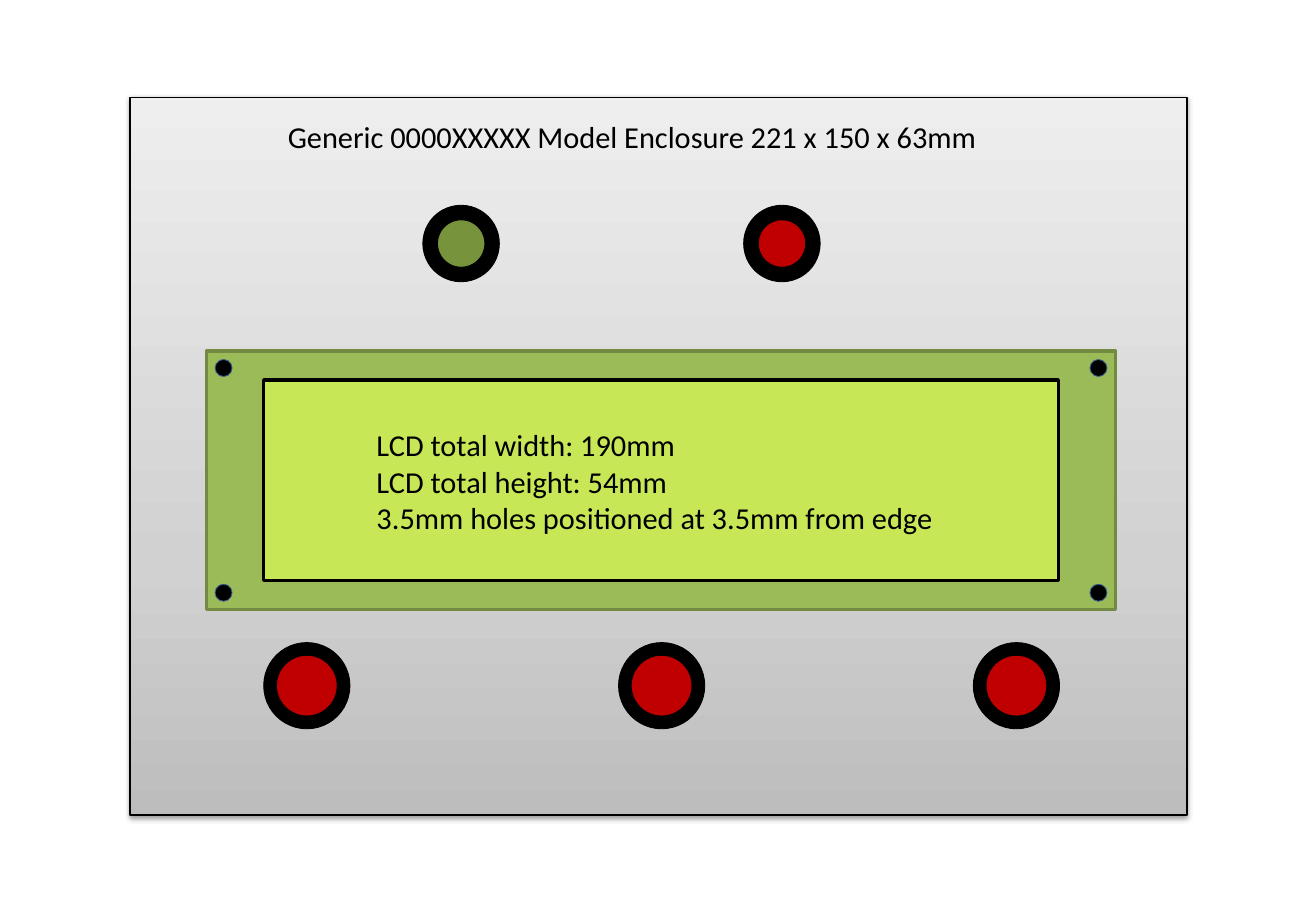
from copy import deepcopy
from dataclasses import dataclass
from itertools import product

from lxml.etree import SubElement
from pptx import Presentation
from pptx.dml.color import RGBColor as Rgb
from pptx.enum.shapes import MSO_SHAPE as Preset
from pptx.enum.text import MSO_AUTO_SIZE as AutoSize
from pptx.oxml.ns import qn
from pptx.util import Inches, Pt


@dataclass(frozen=True)
class Theme:
    """Colours and type of the slide."""
    ink: str = "000000"
    board: str = "9BBB59"
    board_edge: str = "738A42"
    hole_edge: str = "3A5F8C"
    screen: str = "C8E757"
    red: str = "C00000"
    green: str = "77933C"
    case: tuple = ((0, "BDBDBD"), (0.35, "D1D1D1"), (1, "EEEEEE"))
    font: str = "Calibri"
    size: int = 18


THEME = Theme()


def add_preset(shapes, preset, box, fill, edge, weight):
    """Add an outlined shape in box (left, top, width, height)."""
    shape = shapes.add_shape(preset, *map(Inches, box))
    shape.shadow.inherit = False
    if fill:
        shape.fill.solid()
        shape.fill.fore_color.rgb = Rgb.from_string(fill)
    shape.line.color.rgb = Rgb.from_string(edge)
    shape.line.width = Pt(weight)
    return shape


def add_disc(shapes, centre, diameter, fill, edge=THEME.ink):
    """Add a circle around a centre point."""
    x, y = centre
    box = (x - diameter / 2, y - diameter / 2, diameter, diameter)
    add_preset(shapes, Preset.OVAL, box, fill, edge, 0.5)


def add_label(page, box, lines, wrap):
    """Add left-aligned text, one paragraph for each line."""
    label = page.shapes.add_textbox(*map(Inches, box))
    frame = label.text_frame
    frame.text = "\n".join(lines)
    frame.word_wrap = wrap
    frame.auto_size = AutoSize.SHAPE_TO_FIT_TEXT
    formats = {"name": THEME.font, "size": Pt(THEME.size)}
    for para in frame.paragraphs:
        for span in para.runs:
            for key, value in formats.items():
                setattr(span.font, key, value)
            span.font.color.rgb = Rgb.from_string(THEME.ink)


def add_case(page, box):
    """Add the enclosure front with its gradient and soft shadow."""
    case = add_preset(page.shapes, Preset.RECTANGLE, box, None, THEME.ink, 0.75)
    case.fill.gradient()
    case.fill.gradient_angle = 90
    properties = case._element.spPr
    stops = properties.find(".//" + qn("a:gsLst"))
    stops.append(deepcopy(stops[0]))
    for stop, (position, colour) in zip(case.fill.gradient_stops, THEME.case):
        stop.position = position
        stop.color.rgb = Rgb.from_string(colour)
    shadow = SubElement(properties.find(qn("a:effectLst")), qn("a:outerShdw"),
                        blurRad=str(Pt(3.1)), dist=str(Pt(1.6)),
                        dir="5400000", rotWithShape="0")
    tint = SubElement(shadow, qn("a:srgbClr"), val=THEME.ink)
    SubElement(tint, qn("a:alpha"), val="38000")


def add_display(page, box):
    """Add the LCD board with a mounting hole in each corner and a screen."""
    left, top, width, height = box
    hole, inset = 0.14, 0.14
    margin_x, margin_y = 0.47, 0.24
    shapes = page.shapes.add_group_shape().shapes
    add_preset(shapes, Preset.RECTANGLE, box, THEME.board, THEME.board_edge, 2)
    rows = (top + inset, top + height - inset)
    columns = (left + inset, left + width - inset)
    for y, x in product(rows, columns):
        add_disc(shapes, (x, y), hole, THEME.ink, THEME.hole_edge)
    screen = (left + margin_x, top + margin_y,
              width - 2 * margin_x, height - 2 * margin_y)
    add_preset(shapes, Preset.RECTANGLE, screen, THEME.screen, THEME.ink, 2)
    add_label(page, (left + 1.3, top + 0.57, 4.83, 1.01),
              ("LCD total width: 190mm", "LCD total height: 54mm",
               "3.5mm holes positioned at 3.5mm from edge"), False)


def add_buttons(page, box, cap, colours):
    """Spread ringed buttons, as tall as the box, evenly across it."""
    left, top, width, ring = box
    step = (width - ring) / (len(colours) - 1)
    for index, colour in enumerate(colours):
        shapes = page.shapes.add_group_shape().shapes
        centre = (left + ring / 2 + index * step, top + ring / 2)
        add_disc(shapes, centre, ring, THEME.ink)
        add_disc(shapes, centre, cap, colour)


def add_panel(page, box):
    """Place all parts of the front panel in its box."""
    left, top, width, height = box
    add_case(page, box)
    add_display(page, (left + 0.63, top + 2.09, 7.48, 2.13))
    add_buttons(page, (left + 1.1, top + 4.49, 6.55, 0.71), 0.5, [THEME.red] * 3)
    add_buttons(page, (left + 2.41, top + 0.89, 3.27, 0.63), 0.39,
                [THEME.green, THEME.red])
    add_label(page, (left + 1.2, top + 0.12, 6.55, 0.4),
              ("Generic 0000XXXXX Model Enclosure 221 x 150 x 63mm",), True)


deck = Presentation()
deck.slide_width, deck.slide_height = Inches(10.83), Inches(7.5)
page = deck.slides.add_slide(deck.slide_layouts[6])
add_panel(page, (1.07, 0.8, 8.7, 5.91))
deck.save("out.pptx")
